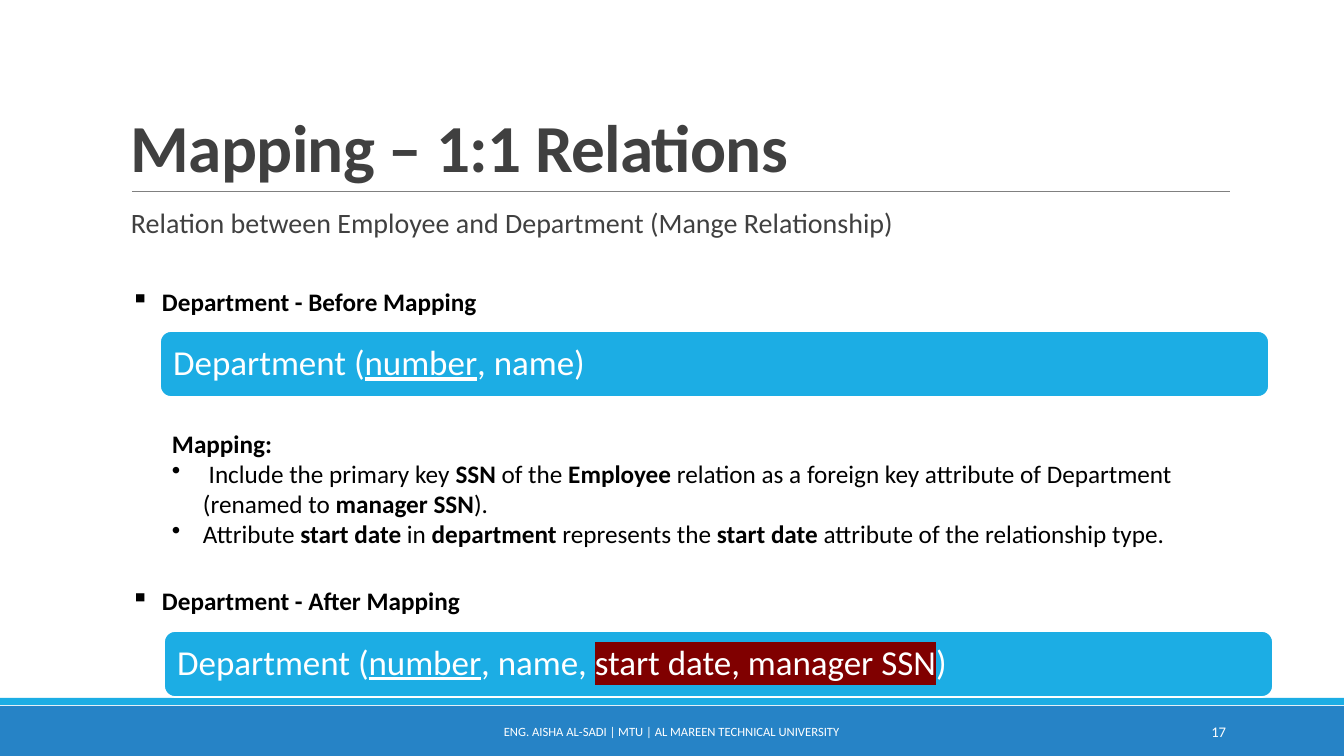
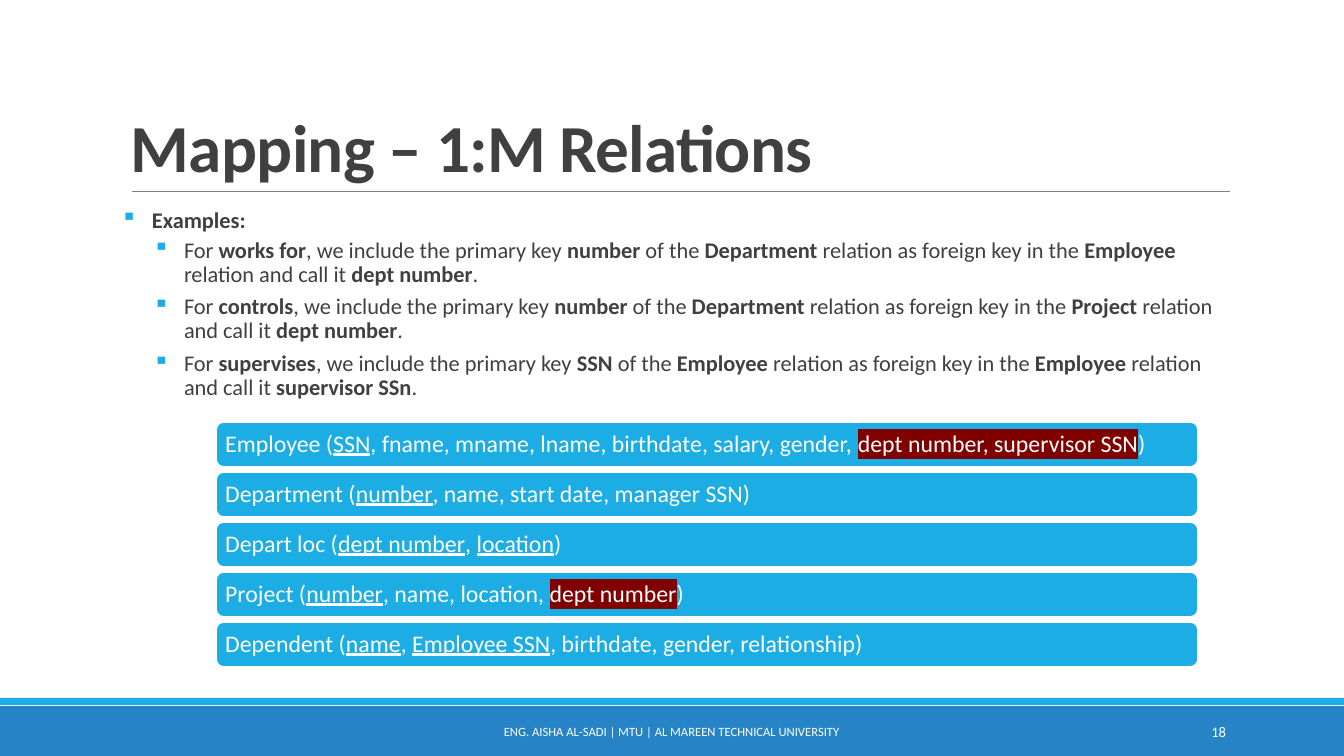
from dataclasses import dataclass

from lxml import etree
from pptx import Presentation
from pptx.dml.color import RGBColor
from pptx.enum.shapes import MSO_CONNECTOR, MSO_SHAPE
from pptx.enum.text import MSO_ANCHOR, PP_ALIGN
from pptx.oxml.ns import qn
from pptx.util import Pt

RECTANGLE = MSO_SHAPE.RECTANGLE
ROUNDED = MSO_SHAPE.ROUNDED_RECTANGLE
STRAIGHT = MSO_CONNECTOR.STRAIGHT
TOP, MIDDLE, BOTTOM = MSO_ANCHOR.TOP, MSO_ANCHOR.MIDDLE, MSO_ANCHOR.BOTTOM
LEFT, CENTER, RIGHT = PP_ALIGN.LEFT, PP_ALIGN.CENTER, PP_ALIGN.RIGHT

EMU_PER_PX = 914400 / 100.8
PAGE_WIDTH, PAGE_HEIGHT = 1344, 756
FONT = "Calibri"
COLORS = {
    "text": "404040",
    "black": "000000",
    "white": "FFFFFF",
    "accent": "1CADE4",
    "footer": "2683C6",
    "rule": "808080",
    "highlight": "800000",
}
SQUARE, DOT = "▪", "•"
INDENT = 31
FOOTER = "ENG. AISHA AL-SADI | MTU | AL MAREEN TECHNICAL UNIVERSITY"


@dataclass(frozen=True)
class Area:
    left: int
    top: int
    width: int
    height: int


@dataclass(frozen=True)
class Span:
    text: str
    bold: bool = False
    underline: bool = False
    highlight: bool = False


@dataclass(frozen=True)
class Style:
    size: float
    color: str
    align: PP_ALIGN = LEFT
    line_spacing: float = 1.0
    before: float = 0
    after: float = 0
    margin: int = 0
    bullet: str = ""
    bullet_color: str = ""
    tracking: int = 0


@dataclass(frozen=True)
class Line:
    style: Style
    spans: list[Span]


TITLE = Style(48, "text", line_spacing=0.85, tracking=-50)
LEAD = Style(20, "text", line_spacing=0.9, before=12, after=2, margin=10)
HEADING = Style(18, "black", margin=INDENT, bullet=SQUARE)
NOTE = Style(18, "black")
NOTE_ITEM = Style(18, "black", margin=INDENT, bullet=DOT)
EXAMPLES = Style(16, "text", line_spacing=0.9, before=12, after=2,
                 margin=INDENT, bullet=SQUARE, bullet_color="accent")
EXAMPLE = Style(16, "text", line_spacing=0.9, before=2, after=4,
                margin=2 * INDENT + 1, bullet=SQUARE, bullet_color="accent")
LARGE_BAR = Style(25, "white", line_spacing=0.9)
SMALL_BAR = Style(17, "white", line_spacing=0.9)
FOOTER_STYLE = Style(9, "white", align=CENTER)
NUMBER_STYLE = Style(10.5, "white", align=RIGHT)

BODY = Area(121, 204, 1109, 444)


def px(length: int) -> int:
    return round(length * EMU_PER_PX)


def rgb(name: str) -> RGBColor:
    return RGBColor.from_string(COLORS[name])


def plain(text: str) -> Span:
    return Span(text)


def bold(text: str) -> Span:
    return Span(text, bold=True)


def key(text: str) -> Span:
    return Span(text, underline=True)


def added(text: str) -> Span:
    return Span(text, highlight=True)


def add_color(parent, tag: str, color: str):
    """Make an XML element holding one RGB colour."""
    element = etree.SubElement(parent, qn(tag))
    etree.SubElement(element, qn("a:srgbClr")).set("val", COLORS[color])
    return element


# Text
def add_span(para, span: Span, style: Style) -> None:
    run = para.add_run()
    run.text = span.text
    font = run.font
    font.name, font.size = FONT, Pt(style.size)
    font.bold, font.underline = span.bold, span.underline
    font.color.rgb = rgb(style.color)
    properties = run._r.get_or_add_rPr()
    if style.tracking:
        properties.set("spc", str(style.tracking))
    if span.highlight:
        mark = add_color(properties, "a:highlight", "highlight")
        properties.find(qn("a:solidFill")).addnext(mark)


def format_para(para, style: Style) -> None:
    para.alignment = style.align
    para.line_spacing = style.line_spacing
    para.space_before, para.space_after = Pt(style.before), Pt(style.after)
    properties = para._p.get_or_add_pPr()
    properties.set("marL", str(px(style.margin)))
    if style.bullet:
        properties.set("indent", str(-px(INDENT)))
        if style.bullet_color:
            add_color(properties, "a:buClr", style.bullet_color)
        bullet = etree.SubElement(properties, qn("a:buChar"))
        bullet.set("char", style.bullet)


def fill_text(shape, lines: list[Line], anchor: MSO_ANCHOR,
              side: int, edge: int) -> None:
    frame = shape.text_frame
    frame.word_wrap = True
    frame.vertical_anchor = anchor
    frame.margin_left = frame.margin_right = px(side)
    frame.margin_top = frame.margin_bottom = px(edge)
    for index, line in enumerate(lines):
        para = frame.add_paragraph() if index else frame.paragraphs[0]
        format_para(para, line.style)
        for span in line.spans:
            add_span(para, span, line.style)


def add_text(page, area: Area, lines: list[Line],
             anchor: MSO_ANCHOR = TOP, side: int = 10) -> None:
    box = page.shapes.add_textbox(px(area.left), px(area.top),
                                  px(area.width), px(area.height))
    fill_text(box, lines, anchor, side, 5)


# Shapes
def add_block(page, kind: MSO_SHAPE, area: Area, color: str):
    block = page.shapes.add_shape(kind, px(area.left), px(area.top),
                                  px(area.width), px(area.height))
    block.shadow.inherit = False
    block.fill.solid()
    block.fill.fore_color.rgb = rgb(color)
    block.line.fill.background()
    return block


def add_bar(page, area: Area, style: Style, inset: int,
            spans: list[Span]) -> None:
    bar = add_block(page, ROUNDED, area, "accent")
    bar.line.color.rgb = rgb("white")
    bar.line.width = Pt(1.25)
    fill_text(bar, [Line(style, spans)], MIDDLE, inset, inset)


def add_rule(page, left: int, right: int, top: int) -> None:
    rule = page.shapes.add_connector(STRAIGHT, px(left), px(top),
                                     px(right), px(top))
    rule.line.color.rgb = rgb("rule")
    rule.line.width = Pt(0.5)
    etree.SubElement(rule._element.spPr, qn("a:effectLst"))


# Shared page frame
def add_page(deck, title: str, number: int):
    page = deck.slides.add_slide(deck.slide_layouts[6])
    add_block(page, RECTANGLE, Area(0, 706, PAGE_WIDTH, 50), "footer")
    add_block(page, RECTANGLE, Area(0, 698, PAGE_WIDTH, 7), "accent")
    add_rule(page, 132, 1230, 191)
    add_text(page, Area(121, 31, 1109, 160),
             [Line(TITLE, [bold(title)])], BOTTOM)
    add_text(page, Area(406, 712, 531, 40),
             [Line(FOOTER_STYLE, [plain(FOOTER)])], MIDDLE)
    add_text(page, Area(1092, 712, 144, 40),
             [Line(NUMBER_STYLE, [plain(str(number))])], MIDDLE)
    return page


# One-to-one relations
def build_one_to_one(deck) -> None:
    page = add_page(deck, "Mapping – 1:1 Relations", 17)
    add_text(page, BODY, [Line(LEAD, [plain(
        "Relation between Employee and Department (Mange Relationship)")])],
        side=0)

    stages = [
        ("Before", 281, Area(160, 331, 1109, 66),
         [plain("Department ("), key("number"), plain(", name)")]),
        ("After", 580, Area(164, 631, 1109, 66),
         [plain("Department ("), key("number"), plain(", name, "),
          added("start date, manager SSN"), plain(")")]),
    ]
    for stage, top, area, spans in stages:
        add_text(page, Area(121, top, 543, 40),
                 [Line(HEADING, [bold(f"Department - {stage} Mapping")])])
        add_bar(page, area, LARGE_BAR, 10, spans)

    add_text(page, Area(162, 423, 1106, 132), [
        Line(NOTE, [bold("Mapping:")]),
        Line(NOTE_ITEM, [
            bold(" "), plain("Include the primary key "), bold("SSN"),
            plain(" of the "), bold("Employee"),
            plain(" relation as a foreign key attribute of Department "
                  "(renamed to "),
            bold("manager SSN"), plain(").")]),
        Line(NOTE_ITEM, [
            plain("Attribute "), bold("start date"), plain(" in "),
            bold("department "), plain("represents the "),
            bold("start date"),
            plain(" attribute of the relationship type.")]),
    ])


# One-to-many relations
def example(relationship: str, primary: str, source: str, target: str,
            foreign: str) -> Line:
    return Line(EXAMPLE, [
        plain("For "), bold(relationship),
        plain(", we include the primary key "), bold(primary),
        plain(" of the "), bold(source),
        plain(" relation as foreign key in the "), bold(target),
        plain(" relation and call it "), bold(foreign), plain(".")])


def build_one_to_many(deck) -> None:
    page = add_page(deck, "Mapping – 1:M Relations", 18)
    add_text(page, BODY, [
        Line(EXAMPLES, [bold("Examples:")]),
        example("works for", "number", "Department", "Employee",
                "dept number"),
        example("controls", "number", "Department", "Project",
                "dept number"),
        example("supervises", "SSN", "Employee", "Employee",
                "supervisor SSn"),
    ], side=0)

    relations = [
        [plain("Employee ("), key("SSN"),
         plain(", fname, mname, lname, birthdate, salary, gender, "),
         added("dept number, supervisor SSN"), plain(")")],
        [plain("Department ("), key("number"),
         plain(", name, start date, manager SSN)")],
        [plain("Depart loc ("), key("dept number"), plain(", "),
         key("location"), plain(")")],
        [plain("Project ("), key("number"), plain(", name, location, "),
         added("dept number"), plain(")")],
        [plain("Dependent ("), key("name"), plain(", "),
         key("Employee SSN"), plain(", birthdate, gender, relationship)")],
    ]
    first_top, pitch = 422, 50
    for row, spans in enumerate(relations):
        area = Area(216, first_top + row * pitch, 982, 45)
        add_bar(page, area, SMALL_BAR, 7, spans)


def main() -> None:
    deck = Presentation()
    deck.slide_width, deck.slide_height = px(PAGE_WIDTH), px(PAGE_HEIGHT)
    build_one_to_one(deck)
    build_one_to_many(deck)
    deck.save("out.pptx")


if __name__ == "__main__":
    main()
